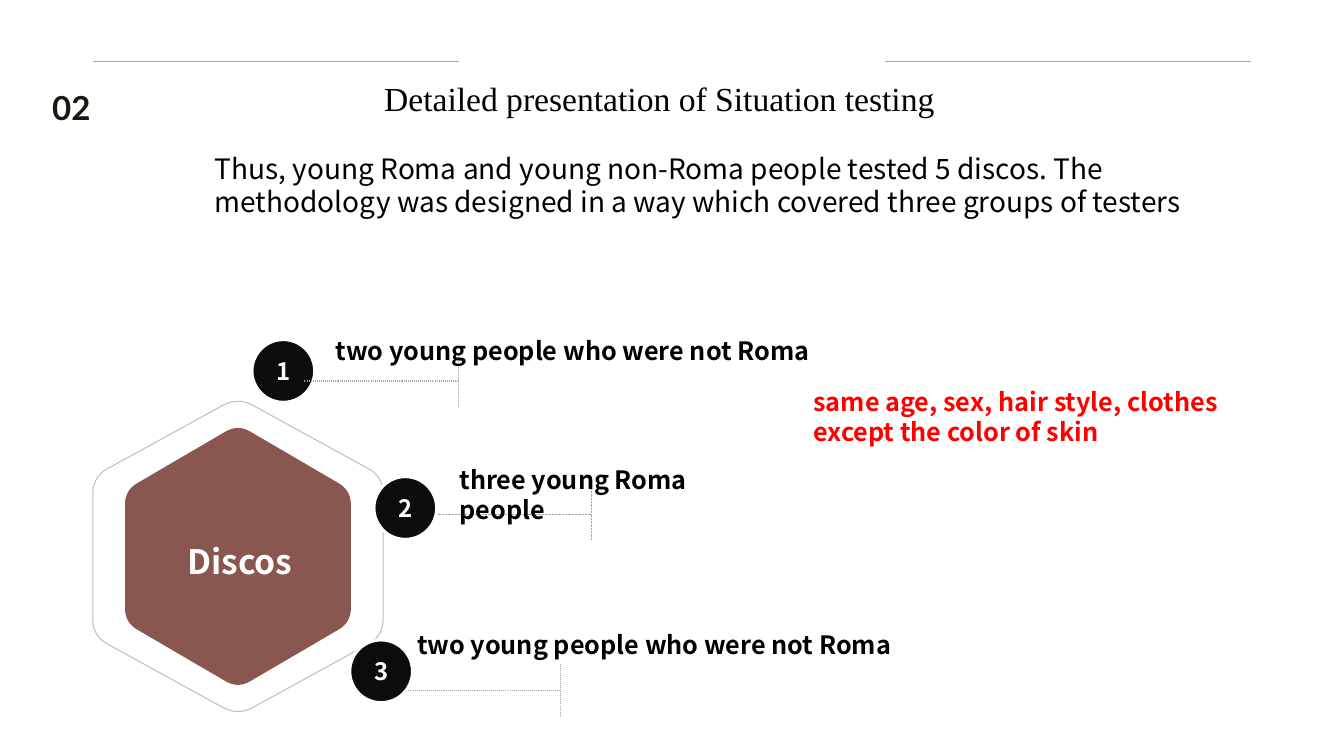
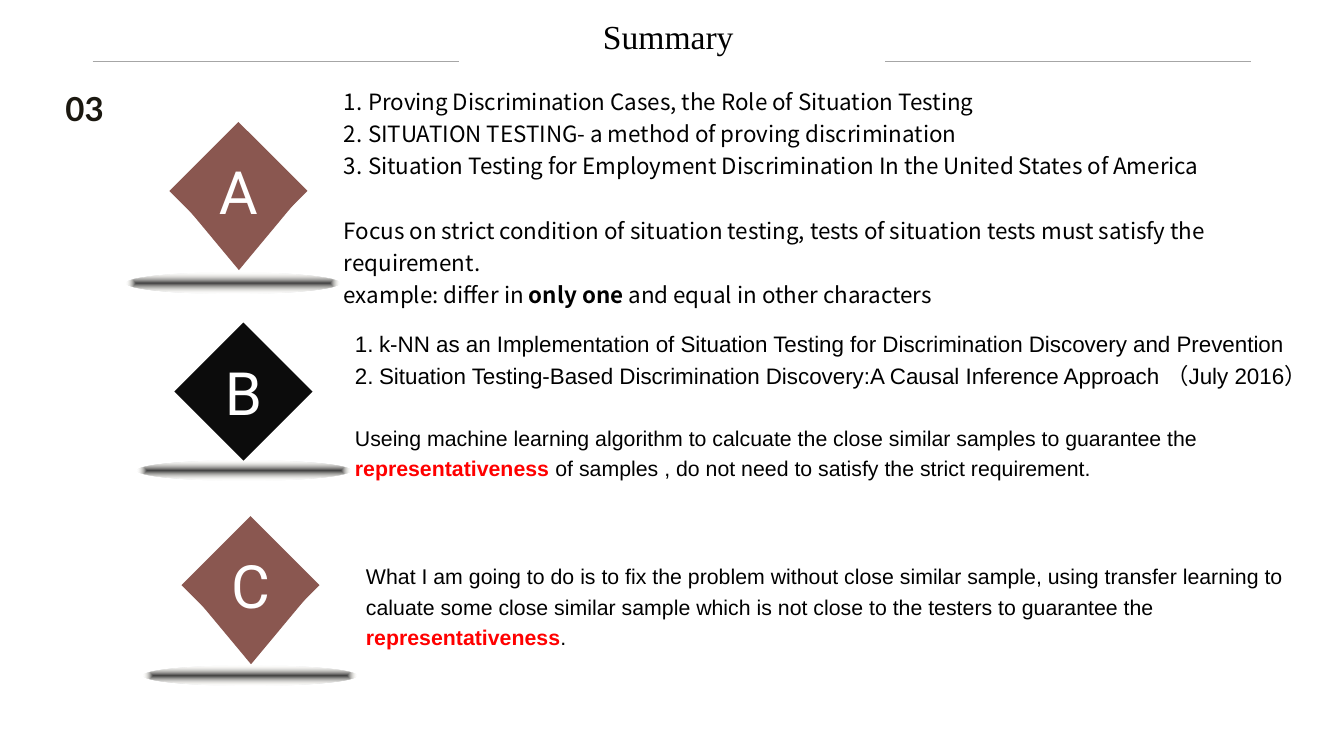
"""Build two slides on situation testing: the detailed presentation and the summary."""
import dataclasses

import pptx
import pptx.dml.color
import pptx.enum.dml
import pptx.enum.shapes
import pptx.enum.text
import pptx.oxml
import pptx.oxml.ns
import pptx.util

EMU_PER_PX = 9144
SANS, SERIF, NUMERAL, LETTER, PLAIN = "Noto Sans CJK SC", "Times New Roman", "Lato", "Roboto", "Arial"
BLACK, WHITE, RED = "000000", "FFFFFF", "FF0000"
BROWN, INK, RULE, OUTLINE, NUMBER = "8A5750", "0C0C0C", "A6A6A6", "BFBFBF", "1B1810"
DRAWING_NS = 'xmlns:a="http://schemas.openxmlformats.org/drawingml/2006/main"'
GLOW = f"""<a:gradFill {DRAWING_NS} rotWithShape="1"><a:gsLst>
<a:gs pos="0"><a:srgbClr val="404040"/></a:gs>
<a:gs pos="100000"><a:srgbClr val="EEECE1"><a:alpha val="0"/></a:srgbClr></a:gs></a:gsLst>
<a:path path="shape"><a:fillToRect l="50000" t="50000" r="50000" b="50000"/></a:path></a:gradFill>"""


def px(length):
    return pptx.util.Emu(round(length * EMU_PER_PX))


def rgb(hex_code):
    return pptx.dml.color.RGBColor.from_string(hex_code)


def add_xml(parent, tag, **attributes):
    child = pptx.oxml.parse_xml(f"<a:{tag} {DRAWING_NS}/>")
    for key, value in attributes.items():
        child.set(key, value)
    parent.append(child)


@dataclasses.dataclass
class Para:
    """One paragraph: runs are strings, or (text, colour) pairs for bold emphasis."""
    runs: list
    size: float = 16
    numbered: bool = False
    before: float = 0


@dataclasses.dataclass
class Style:
    """Type settings of one text frame."""
    font: str = SANS
    color: str = BLACK
    bold: bool = False
    spacing: float = 1.0
    align: str = "LEFT"
    anchor: str = "TOP"
    insets: tuple = (10, 5)


HEADING = Style(SERIF)
LABEL = Style(bold=True)
NOTE = Style(spacing=1.2, insets=(15, 7))
PLAIN_NOTE = dataclasses.replace(NOTE, font=PLAIN)


class Deck:
    """Holds the presentation, its shared style and the current slide."""

    def __init__(self):
        self.prs = pptx.Presentation()
        self.prs.slide_width, self.prs.slide_height = px(1333), px(750)

    def new_slide(self, title, title_box, number, number_box):
        self.slide = self.prs.slides.add_slide(self.prs.slide_layouts[1])
        self.shapes = self.slide.shapes
        self.fill_placeholder(self.shapes.title, title_box, [Para([title], 24)], HEADING)
        self.text(number_box, [Para([number], 23.6)], Style(NUMERAL, NUMBER, True))
        for left in (92, 878):
            self.line(left, 61, left + 363, 61, 0.5)

    def set_text(self, frame, paras, style):
        frame.word_wrap = True
        frame.auto_size = pptx.enum.text.MSO_AUTO_SIZE.NONE
        frame.vertical_anchor = getattr(pptx.enum.text.MSO_ANCHOR, style.anchor)
        frame.margin_left = frame.margin_right = px(style.insets[0])
        frame.margin_top = frame.margin_bottom = px(style.insets[1])
        for index, para in enumerate(paras):
            paragraph = frame.paragraphs[0] if index == 0 else frame.add_paragraph()
            self.set_paragraph(paragraph, para, style)

    def set_paragraph(self, paragraph, para, style):
        paragraph.alignment = getattr(pptx.enum.text.PP_ALIGN, style.align)
        paragraph.line_spacing = style.spacing
        paragraph.space_before = pptx.util.Pt(para.before)
        properties = paragraph._p.get_or_add_pPr()
        hang = px(24) if para.numbered else 0
        properties.set("marL", str(hang))
        properties.set("indent", str(-hang))
        if para.numbered:
            add_xml(properties, "buAutoNum", type="arabicPeriod")
        else:
            add_xml(properties, "buNone")
        font = paragraph.font
        font.name, font.size, font.bold = style.font, pptx.util.Pt(para.size), style.bold
        font.color.rgb = rgb(style.color)
        for part in para.runs:
            run = paragraph.add_run()
            if isinstance(part, str):
                run.text = part
            else:
                run.text = part[0]
                run.font.bold = True
                run.font.color.rgb = rgb(part[1])

    def fill_placeholder(self, holder, box, paras, style):
        holder.left, holder.top, holder.width, holder.height = map(px, box)
        self.set_text(holder.text_frame, paras, style)

    def body(self, box, paras, style):
        self.fill_placeholder(self.slide.placeholders[1], box, paras, style)

    def text(self, box, paras, style):
        self.set_text(self.shapes.add_textbox(*map(px, box)).text_frame, paras, style)

    def paint(self, shape, fill=None, line=None, width=0.75):
        shape.shadow.inherit = False
        if fill:
            shape.fill.solid()
            shape.fill.fore_color.rgb = rgb(fill)
        else:
            shape.fill.background()
        if line:
            shape.line.color.rgb = rgb(line)
            shape.line.width = pptx.util.Pt(width)
        else:
            shape.line.fill.background()

    def shape(self, kind, box, fill, line=None, width=0.75):
        shape = self.shapes.add_shape(getattr(pptx.enum.shapes.MSO_SHAPE, kind), *map(px, box))
        self.paint(shape, fill, line, width)
        return shape

    def line(self, x1, y1, x2, y2, width, dotted=False):
        line = self.shapes.add_connector(
            pptx.enum.shapes.MSO_CONNECTOR.STRAIGHT, *map(px, (x1, y1, x2, y2)))
        line.line.color.rgb = rgb(RULE)
        line.line.width = pptx.util.Pt(width)
        if dotted:
            line.line.dash_style = pptx.enum.dml.MSO_LINE.ROUND_DOT
        add_xml(line._element.spPr, "effectLst")

    def hexagon(self, cx, cy, half_width, half_height, cut, **paint):
        shoulder = half_height / 2
        corners = [(cx, cy - half_height), (cx + half_width, cy - shoulder),
                   (cx + half_width, cy + shoulder), (cx, cy + half_height),
                   (cx - half_width, cy + shoulder), (cx - half_width, cy - shoulder)]
        outline = []
        for index, corner in enumerate(corners):
            start = self.toward(corner, corners[index - 1], cut)
            end = self.toward(corner, corners[(index + 1) % 6], cut)
            for step in range(9):
                t = step / 8
                outline.append(tuple(
                    px((1 - t) ** 2 * a + 2 * t * (1 - t) * b + t ** 2 * c)
                    for a, b, c in zip(start, corner, end)))
        builder = self.shapes.build_freeform(*outline[0])
        builder.add_line_segments(outline[1:], close=True)
        self.paint(builder.convert_to_shape(), **paint)

    @staticmethod
    def toward(corner, other, distance):
        dx, dy = other[0] - corner[0], other[1] - corner[1]
        share = distance / (dx * dx + dy * dy) ** 0.5
        return corner[0] + dx * share, corner[1] + dy * share

    def badge(self, number, left, top):
        circle = self.shape("OVAL", (left, top, 62, 62), INK, WHITE, 2)
        self.set_text(circle.text_frame, [Para([number], 17.1)],
                      Style(color=WHITE, bold=True, align="CENTER", anchor="MIDDLE"))

    def bracket(self, left, middle, width):
        right = left + 153
        self.line(left, middle, right, middle, width, dotted=True)
        self.line(right, middle - 26, right, middle + 26, width, dotted=True)

    def marker(self, letter, left, top, fill, glow, tail=False):
        halo = self.shape("OVAL", (*glow, 212, 20), None)
        properties = halo._element.spPr
        properties.replace(properties.find(pptx.oxml.ns.qn("a:noFill")), pptx.oxml.parse_xml(GLOW))
        if tail:
            self.shape("DIAMOND", (left + 12, top + 10, 114, 137), fill)
        diamond = self.shape("DIAMOND", (left, top, 137, 137), fill)
        self.set_text(diamond.text_frame, [Para([letter], 42.6)],
                      Style(LETTER, WHITE, align="CENTER", anchor="MIDDLE", insets=(0, 0)))


def testing_slide(deck):
    deck.new_slide("Detailed presentation of Situation testing", (371, 72, 580, 50),
                   "02", (42, 82, 70, 50))
    deck.body((203, 145, 998, 77), [Para([
        "Thus, young Roma and young non-Roma people tested 5 discos. "
        "The methodology was designed in a way which covered three groups of testers"], 20)], Style())
    deck.hexagon(236, 552, 112, 131, 14, fill=BROWN)
    deck.hexagon(236, 552, 144, 158, 17, line=OUTLINE)
    deck.text((176, 532, 137, 50), [Para(["Discos"], 24)], Style(color=WHITE, bold=True))
    groups = [
        ((250, 337), (302, 378, 0.75), (323, 328, 500, 40), "two young people who were not Roma"),
        ((371, 473), (434, 510, 0.5), (446, 456, 334, 40), "three young Roma people"),
        ((347, 635), (403, 685, 0.75), (404, 619, 500, 40), "two young people who were not Roma"),
    ]
    for number, (badge, bracket, box, testers) in enumerate(groups, 1):
        deck.badge(str(number), *badge)
        deck.bracket(*bracket)
        deck.text(box, [Para([testers], 18)], LABEL)
    deck.text((797, 378, 500, 71),
              [Para(["same age, sex, hair style, clothes"], 18), Para(["except the color of skin"], 18)],
              Style(color=RED, bold=True))


def summary_slide(deck):
    deck.new_slide("Summary", (588, 11, 158, 50), "03", (55, 83, 70, 50))
    deck.marker("A", 168, 121, BROWN, (125, 271), tail=True)
    deck.marker("B", 173, 320, INK, (136, 457))
    deck.marker("C", 180, 512, BROWN, (142, 660), tail=True)
    deck.body((326, 75, 980, 208), [
        Para(["Proving Discrimination Cases, the Role of Situation Testing"], numbered=True),
        Para(["SITUATION TESTING- a method of proving discrimination"], numbered=True),
        Para(["Situation Testing for Employment Discrimination In the United States of America"],
             numbered=True),
        Para(["Focus on strict condition of situation testing, tests of situation tests "
              "must satisfy the requirement."], before=23),
        Para(["example: differ in ", ("only one ", BLACK), "and equal in other characters"]),
    ], NOTE)
    deck.text((337, 315, 980, 171), [
        Para(["k-NN as an Implementation of Situation Testing for Discrimination Discovery "
              "and Prevention"], numbered=True),
        Para(["Situation Testing-Based Discrimination Discovery:A Causal Inference Approach "
              "（July 2016）"], numbered=True),
        Para(["Useing machine learning algorithm to calcuate the close similar samples "
              "to guarantee the ", ("representativeness ", RED),
              "of samples , do not need to satisfy the strict requirement."], 15.2, before=22),
    ], PLAIN_NOTE)
    deck.text((348, 547, 980, 106), [
        Para(["What I am going to do is to fix the problem without close similar sample, "
              "using transfer learning to caluate some close similar sample which is not close "
              "to the testers to guarantee the ", ("representativeness", RED), "."], 15.2),
    ], PLAIN_NOTE)


def main():
    deck = Deck()
    testing_slide(deck)
    summary_slide(deck)
    deck.prs.save("out.pptx")


if __name__ == "__main__":
    main()
